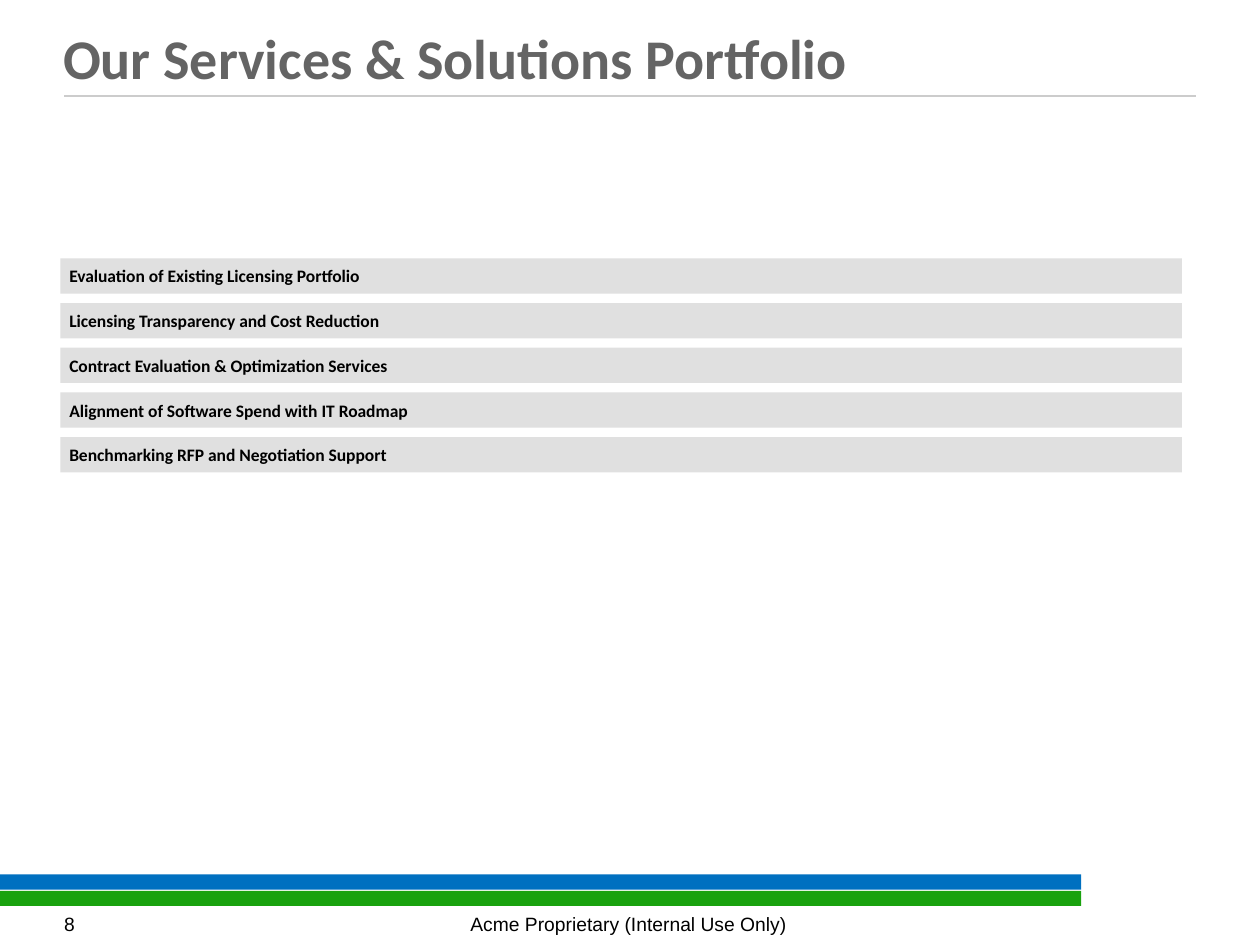
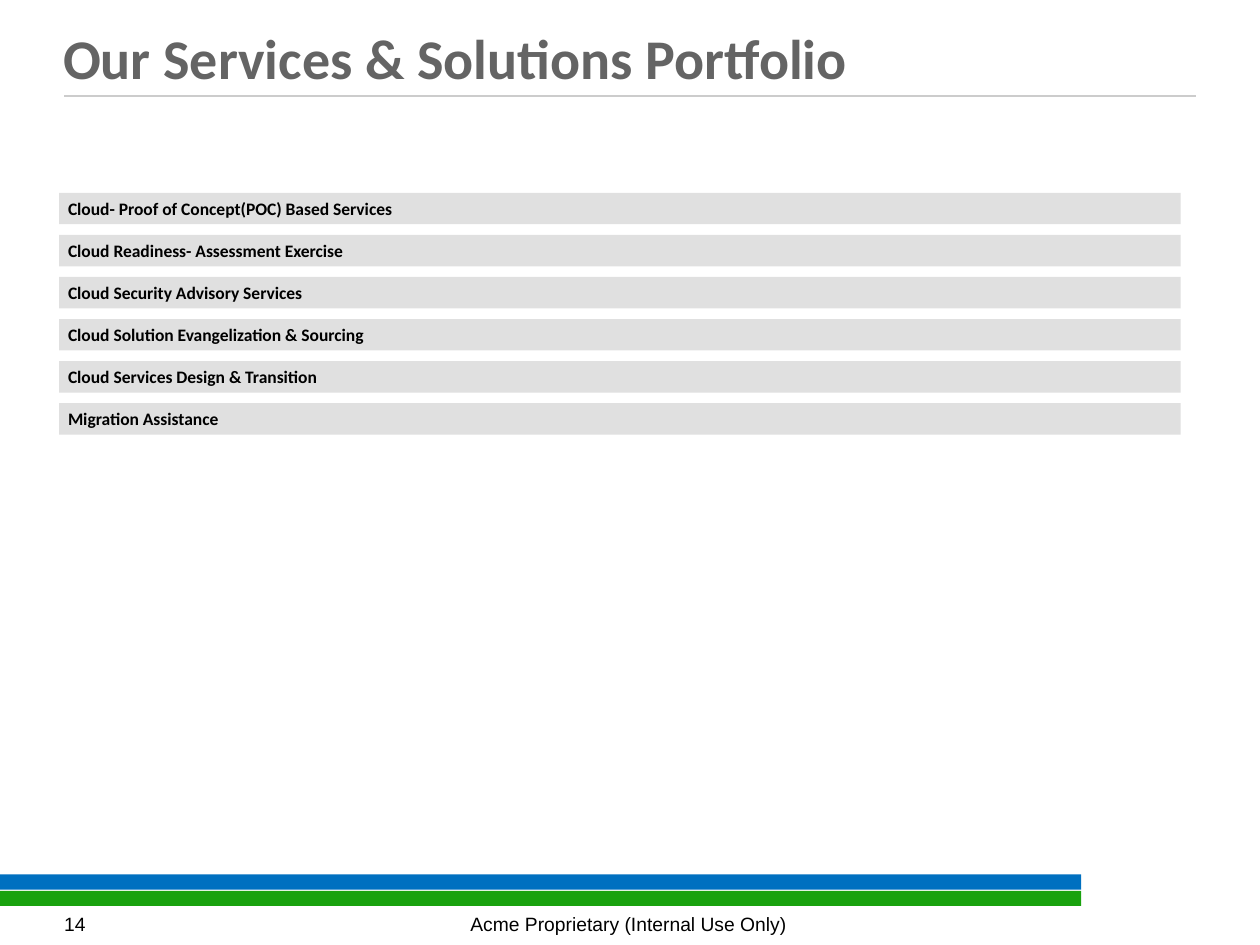
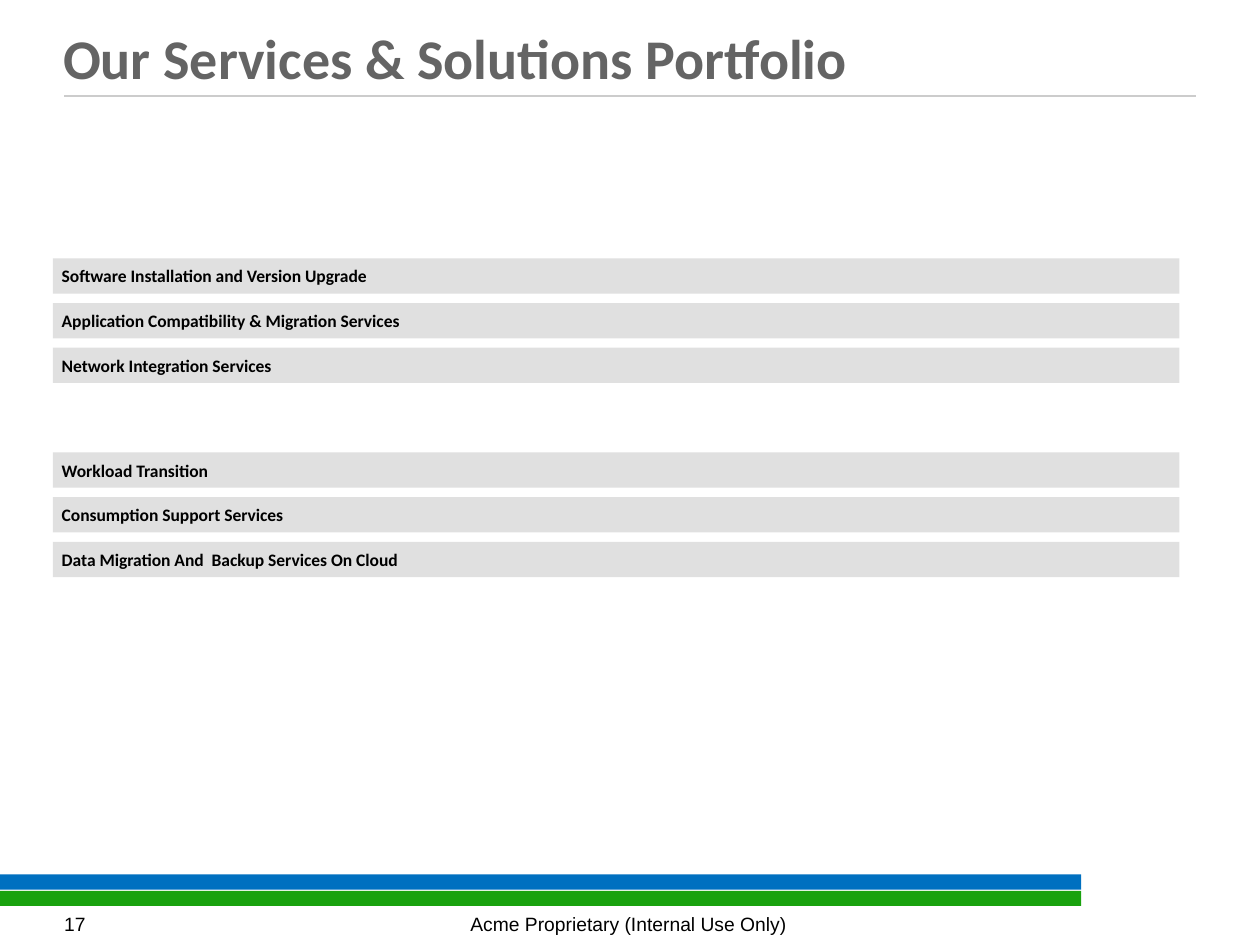
from dataclasses import dataclass

from pptx import Presentation
from pptx.dml.color import RGBColor
from pptx.enum.shapes import MSO_CONNECTOR, MSO_SHAPE
from pptx.enum.text import MSO_ANCHOR, PP_ALIGN
from pptx.oxml.ns import qn
from pptx.util import Inches, Pt
from lxml.etree import SubElement


@dataclass(frozen=True)
class Theme:
    heading_font: str = "Calibri"
    footer_font: str = "Arial"
    title_size: int = 32
    service_size: int = 10
    footer_size: int = 11
    title_color: str = "646464"
    text_color: str = "000000"
    rule_color: str = "CCCCCC"
    service_fill: str = "E0E0E0"
    band_colors: tuple = ("0070C0", "19A20E")


class Deck:
    def __init__(self, theme):
        self.theme = theme
        self.slide = None
        self.presentation = Presentation()
        self.presentation.slide_width = Inches(10)
        self.presentation.slide_height = Inches(7.5)

    def add_slide(self, title, number, footer):
        theme = self.theme
        layout = self.presentation.slide_layouts[6]
        self.slide = self.presentation.slides.add_slide(layout)
        for index, color in enumerate(theme.band_colors):
            self.add_bar(0, 6.94 + 0.13 * index, 8.58, 0.12, color)
        self.add_rule(0.51, 9.49, 0.76)
        self.add_title(title)
        self.add_footer(0.51, 0.87, number, PP_ALIGN.LEFT)
        self.add_footer(3.11, 3.76, footer, PP_ALIGN.CENTER)

    def add_bar(self, left, top, width, height, color):
        bar = self.slide.shapes.add_shape(
            MSO_SHAPE.RECTANGLE, Inches(left), Inches(top), Inches(width), Inches(height)
        )
        bar.shadow.inherit = False
        bar.fill.solid()
        bar.fill.fore_color.rgb = RGBColor.from_string(color)
        bar.line.fill.background()
        return bar

    def add_rule(self, left, right, top):
        rule = self.slide.shapes.add_connector(
            MSO_CONNECTOR.STRAIGHT, Inches(left), Inches(top), Inches(right), Inches(top)
        )
        rule.line.color.rgb = RGBColor.from_string(self.theme.rule_color)
        rule.line.width = Pt(1)
        SubElement(rule._element.spPr, qn("a:effectLst"))

    def add_text_box(self, left, top, width, height):
        return self.slide.shapes.add_textbox(
            Inches(left), Inches(top), Inches(width), Inches(height)
        )

    def set_text(self, shape, text, font, size, color, bold=False,
                 align=PP_ALIGN.LEFT, anchor=MSO_ANCHOR.MIDDLE, margins=(0, 0)):
        frame = shape.text_frame
        frame.word_wrap = True
        frame.vertical_anchor = anchor
        frame.margin_left = frame.margin_right = Inches(margins[0])
        frame.margin_top = frame.margin_bottom = Inches(margins[1])
        frame.text = text
        paragraph = frame.paragraphs[0]
        paragraph.alignment = align
        run_font = paragraph.runs[0].font
        run_font.name = font
        run_font.size = Pt(size)
        run_font.bold = bold
        run_font.color.rgb = RGBColor.from_string(color)
        return paragraph

    def add_title(self, text):
        theme = self.theme
        box = self.add_text_box(0.5, 0.27, 8.98, 0.49)
        paragraph = self.set_text(box, text, theme.heading_font, theme.title_size,
                                  theme.title_color, bold=True, anchor=MSO_ANCHOR.TOP)
        paragraph.line_spacing = 0.85

    def add_footer(self, left, width, text, align):
        theme = self.theme
        box = self.add_text_box(left, 7.24, width, 0.18)
        self.set_text(box, text, theme.footer_font, theme.footer_size,
                      theme.text_color, align=align)

    def add_services(self, left, width, height, first_top, last_top, services):
        theme = self.theme
        step = (last_top - first_top) / (len(services) - 1)
        for index, service in enumerate(services):
            bar = self.add_bar(left, first_top + step * index, width, height,
                               theme.service_fill)
            self.set_text(bar, service, theme.heading_font, theme.service_size,
                          theme.text_color, bold=True, margins=(0.07, 0.04))


TITLE = "Our Services & Solutions Portfolio"
FOOTER = "Acme Proprietary (Internal Use Only)"

LICENSING_SERVICES = [
    "Evaluation of Existing Licensing Portfolio",
    "Licensing Transparency and Cost Reduction",
    "Contract Evaluation & Optimization Services",
    "Alignment of Software Spend with IT Roadmap",
    "Benchmarking RFP and Negotiation Support",
]
CLOUD_SERVICES = [
    "Cloud- Proof of Concept(POC) Based Services",
    "Cloud Readiness- Assessment Exercise",
    "Cloud Security Advisory Services",
    "Cloud Solution Evangelization & Sourcing",
    "Cloud Services Design & Transition",
    "Migration Assistance",
]
INSTALLATION_SERVICES = [
    "Software Installation and Version Upgrade",
    "Application Compatibility & Migration Services",
    "Network Integration Services",
]
TRANSITION_SERVICES = [
    "Workload Transition",
    "Consumption Support Services",
    "Data Migration And  Backup Services On Cloud",
]


def main():
    deck = Deck(Theme())

    deck.add_slide(TITLE, "8", FOOTER)
    deck.add_services(0.48, 8.9, 0.28, 2.05, 3.47, LICENSING_SERVICES)

    deck.add_slide(TITLE, "14", FOOTER)
    deck.add_services(0.47, 8.9, 0.25, 1.53, 3.2, CLOUD_SERVICES)

    deck.add_slide(TITLE, "17", FOOTER)
    deck.add_services(0.42, 8.94, 0.28, 2.05, 2.76, INSTALLATION_SERVICES)
    deck.add_services(0.42, 8.94, 0.28, 3.59, 4.3, TRANSITION_SERVICES)

    deck.presentation.save("out.pptx")


if __name__ == "__main__":
    main()
